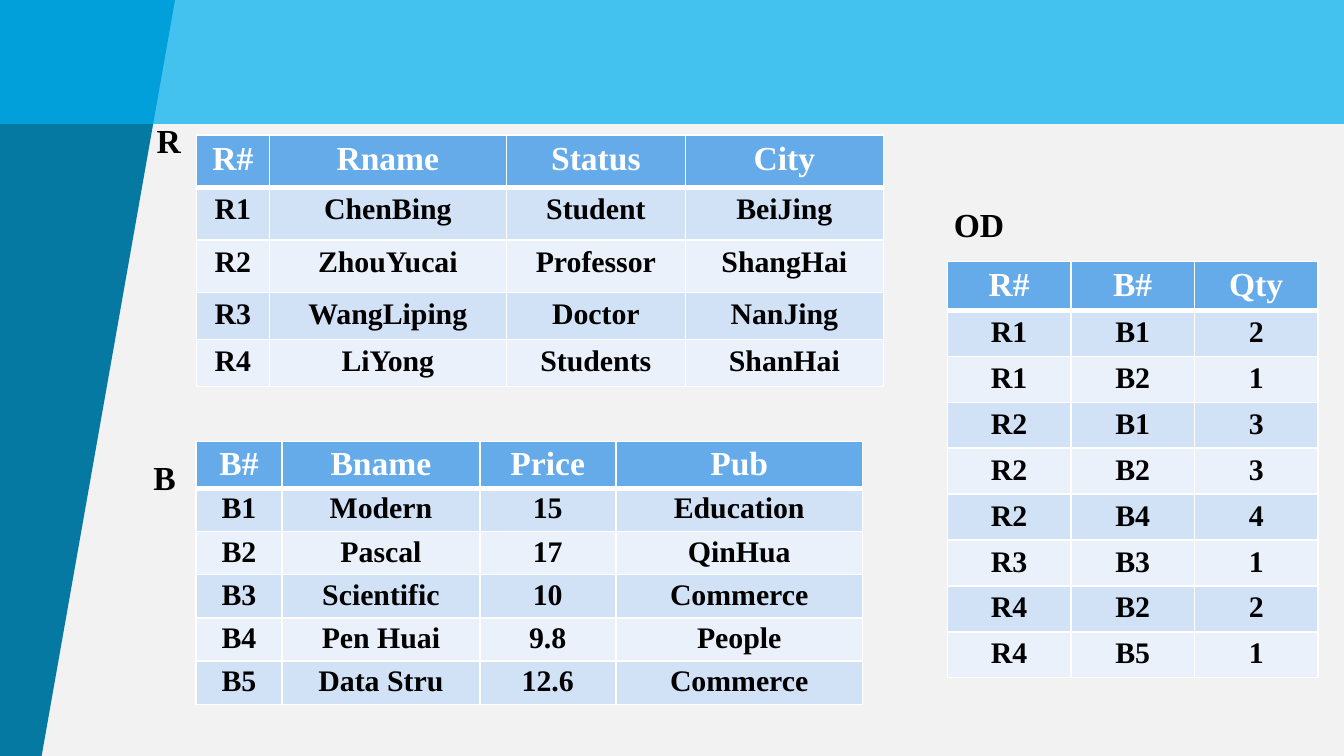
from lxml import etree
from pptx import Presentation
from pptx.dml.color import RGBColor
from pptx.enum.shapes import MSO_SHAPE
from pptx.enum.text import PP_ALIGN
from pptx.oxml import parse_xml
from pptx.oxml.ns import nsdecls, qn
from pptx.util import Pt

RECTANGLE = MSO_SHAPE.RECTANGLE
CENTER = PP_ALIGN.CENTER
BACKGROUND = RGBColor(0xF2, 0xF2, 0xF2)
WEDGE = RGBColor(0x06, 0x79, 0xA3)
BANNER = RGBColor(0x00, 0xB0, 0xF0)
HEADER = RGBColor(0x65, 0xAA, 0xE9)
BANDS = [RGBColor(0xEA, 0xF1, 0xFB), RGBColor(0xD2, 0xE2, 0xF6)]
WHITE = RGBColor(0xFF, 0xFF, 0xFF)
BLACK = RGBColor(0x00, 0x00, 0x00)

HEADER_FORMAT = {"name": "Times New Roman", "size": Pt(18), "bold": True}
BODY_FORMAT = {**HEADER_FORMAT, "size": Pt(16)}


def write(frame, text, font_format, color):
    para = frame.paragraphs[0]
    para.alignment = CENTER
    span = para.add_run()
    span.text = text
    for name, value in font_format.items():
        setattr(span.font, name, value)
    span.font.color.rgb = color


def add_border(cell, side, width):
    cell._tc.get_or_add_tcPr().append(parse_xml(
        f'<a:{side} {nsdecls("a")} w="{Pt(width)}"><a:solidFill>'
        f'<a:srgbClr val="{WHITE}"/></a:solidFill></a:{side}>'))


deck = Presentation()
deck.slide_width, deck.slide_height = Pt(720), Pt(405)
slide = deck.slides.add_slide(deck.slide_layouts[6])
slide.background.fill.solid()
slide.background.fill.fore_color.rgb = BACKGROUND

builder = slide.shapes.build_freeform(Pt(-0.7), Pt(407.5))
builder.add_line_segments(
    [(Pt(0), Pt(-0.7)), (Pt(93.8), Pt(0)), (Pt(21.8), Pt(408.2))], close=True)
wedge = builder.convert_to_shape()
banner = slide.shapes.add_shape(RECTANGLE, Pt(-0.5), Pt(0), Pt(720.5), Pt(66.4))
for shape, color in [(wedge, WEDGE), (banner, BANNER)]:
    shape.shadow.inherit = False
    shape.fill.solid()
    shape.fill.fore_color.rgb = color
    shape.line.fill.background()
banner_color = banner.fill._xPr.find(qn("a:solidFill"))[0]
etree.SubElement(banner_color, qn("a:alpha"), val="72000")

relations = [
    {
        "position": (105.2, 72.2), "margin": 2.9,
        "widths": [39.1, 127, 95.9, 106.1],
        "heights": [28.2, 28.2, 28.2, 25.2, 25.2],
        "rows": [
            ["R#", "Rname", "Status", "City"],
            ["R1", "ChenBing", "Student", "BeiJing"],
            ["R2", "ZhouYucai", "Professor", "ShangHai"],
            ["R3", "WangLiping", "Doctor", "NanJing"],
            ["R4", "LiYong", "Students", "ShanHai"],
        ],
    },
    {
        "position": (104.9, 236.5), "margin": 2.2,
        "widths": [46.3, 105.8, 72.9, 132.3],
        "heights": [25] + [23.2] * 5,
        "rows": [
            ["B#", "Bname", "Price", "Pub"],
            ["B1", "Modern", "15", "Education"],
            ["B2", "Pascal", "17", "QinHua"],
            ["B3", "Scientific", "10", "Commerce"],
            ["B4", "Pen Huai", "9.8", "People"],
            ["B5", "Data Stru", "12.6", "Commerce"],
        ],
    },
    {
        "position": (507.5, 140), "margin": 2.9,
        "widths": [66.2] * 3,
        "heights": [26.4] + [24.6] * 8,
        "rows": [
            ["R#", "B#", "Qty"],
            ["R1", "B1", "2"],
            ["R1", "B2", "1"],
            ["R2", "B1", "3"],
            ["R2", "B2", "3"],
            ["R2", "B4", "4"],
            ["R3", "B3", "1"],
            ["R4", "B2", "2"],
            ["R4", "B5", "1"],
        ],
    },
]

for relation in relations:
    rows, widths, heights = relation["rows"], relation["widths"], relation["heights"]
    left, top = relation["position"]
    table = slide.shapes.add_table(
        len(rows), len(widths), Pt(left), Pt(top),
        Pt(sum(widths)), Pt(sum(heights))).table
    for column, width in zip(table.columns, widths):
        column.width = Pt(width)
    for row, height in zip(table.rows, heights):
        row.height = Pt(height)
    for row_index, values in enumerate(rows):
        is_header = row_index == 0
        for column_index, value in enumerate(values):
            cell = table.cell(row_index, column_index)
            cell.margin_left = cell.margin_right = Pt(7.2)
            cell.margin_top = cell.margin_bottom = Pt(relation["margin"])
            borders = {"lnL": 1, "lnR": 1, "lnT": 3 if row_index == 1 else 1,
                       "lnB": 3 if is_header else 1}
            for side, width in borders.items():
                add_border(cell, side, width)
            cell.fill.solid()
            cell.fill.fore_color.rgb = HEADER if is_header else BANDS[row_index % 2]
            write(cell.text_frame, value,
                  HEADER_FORMAT if is_header else BODY_FORMAT,
                  WHITE if is_header else BLACK)

labels = [("R", 70.6, 60.5, 39.6), ("B", 65.5, 241.2, 45.4), ("OD", 496, 106, 56.9)]
for text, left, top, width in labels:
    box = slide.shapes.add_textbox(Pt(left), Pt(top), Pt(width), Pt(28.8))
    box.text_frame.word_wrap = True
    write(box.text_frame, text, HEADER_FORMAT, BLACK)

deck.save("out.pptx")
